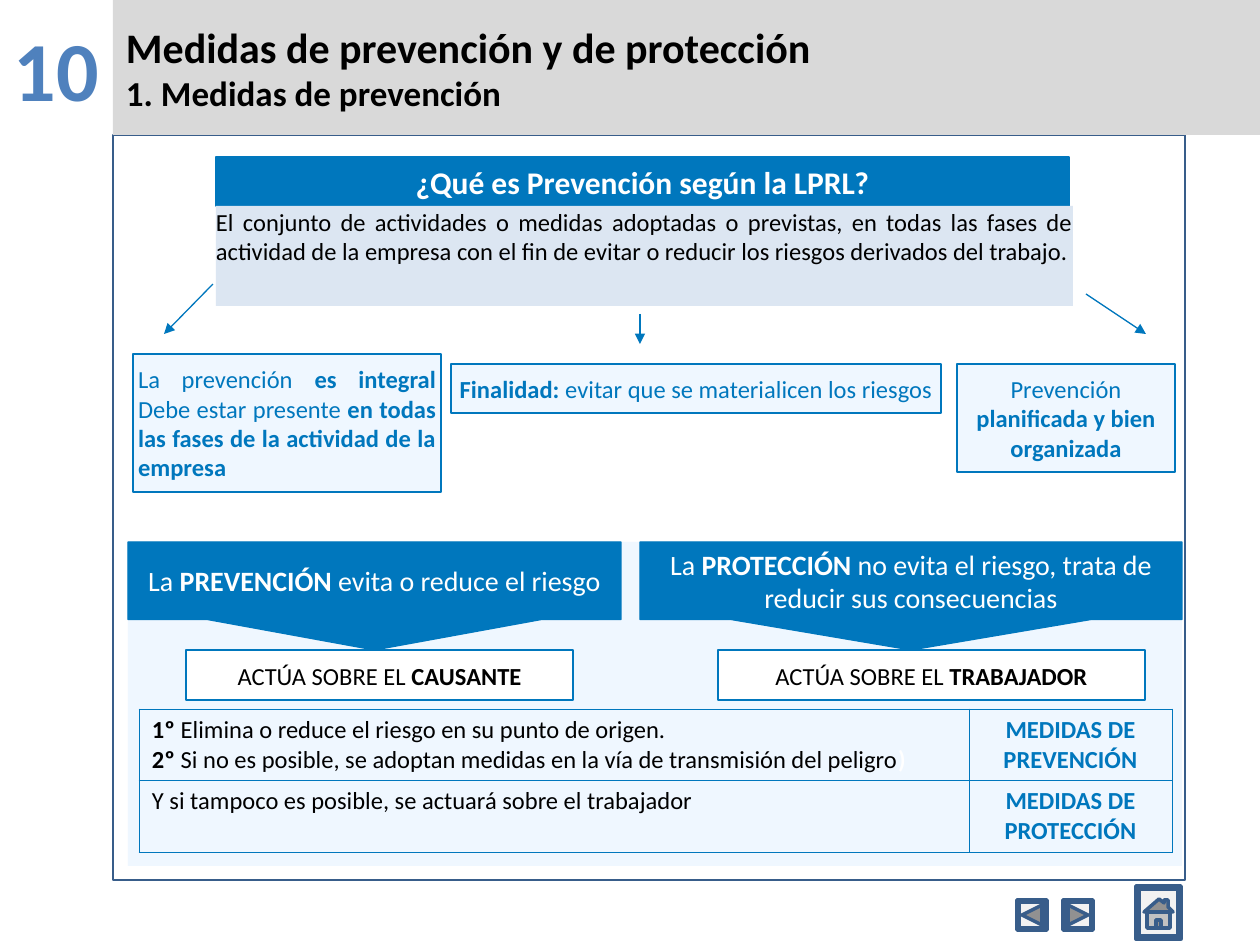
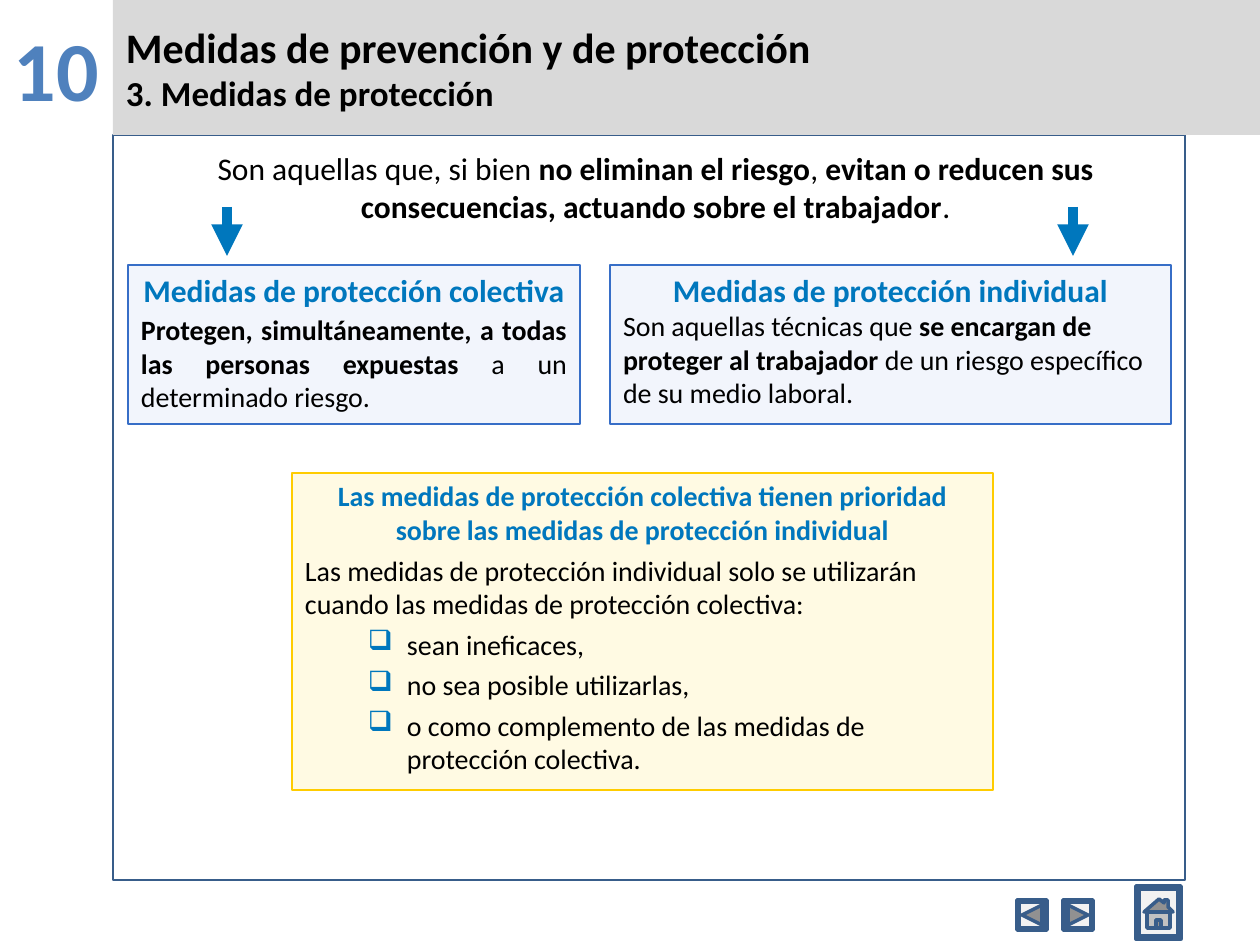
from dataclasses import dataclass

from lxml import etree
from pptx import Presentation
from pptx import util as u
from pptx.dml import color as dml
from pptx.enum import shapes, text
from pptx.oxml import ns

SCALE = 914400 / 126


@dataclass(frozen=True)
class Theme:
    font: str = "Calibri"
    blue: str = "0077BD"
    number: str = "4F81BD"
    frame: str = "385D8A"
    band: str = "D9D9D9"
    pale: str = "EFF7FF"
    definition: str = "DCE6F2"
    panel: str = "F2F5FC"
    panel_line: str = "376EC7"
    note: str = "FFFAE3"
    note_line: str = "FFCC00"
    button: str = "F2F2F2"
    icon: str = "919191"
    wall: str = "C2C2C2"
    black: str = "000000"
    white: str = "FFFFFF"
    chapter: int = 48
    title: int = 24
    subtitle: int = 20
    heading: int = 18
    body: int = 16
    small: int = 14


THEME = Theme()
ALIGN = text.PP_ALIGN
ANCHOR = text.MSO_ANCHOR
PRESET = shapes.MSO_SHAPE


@dataclass(frozen=True)
class Para:
    words: str
    size: int = THEME.small
    color: str = THEME.black
    align: ALIGN = ALIGN.LEFT
    bold: bool = False
    after: float = 0
    bullet: str = ""


def px(value):
    return u.Emu(round(value * SCALE))


def rgb(value):
    return dml.RGBColor.from_string(value)


def add_xml(parent, tag, **attributes):
    return etree.SubElement(parent, ns.qn(tag), attributes)


def within(box, x, y, w, h):
    return box[0] + x, box[1] + y, w, h


def write(frame, paras):
    for index, item in enumerate(paras):
        para = frame.add_paragraph() if index else frame.paragraphs[0]
        if item.bullet:
            properties = para._p.get_or_add_pPr()
            properties.set("marL", str(px(102)))
            properties.set("indent", str(-px(39)))
            add_xml(add_xml(properties, "a:buClr"), "a:srgbClr", val=THEME.blue)
            add_xml(properties, "a:buChar", char=item.bullet)
        para.alignment = item.align
        para.space_after = u.Pt(item.after)
        para.font.name = THEME.font
        para.font.size = u.Pt(item.size)
        para.font.bold = item.bold
        para.font.color.rgb = rgb(item.color)
        for position, part in enumerate(item.words.split("**")):
            if part:
                span = para.add_run()
                span.text = part
                if position % 2:
                    span.font.bold = True


def paint(shape, fill, line, width=0.75):
    shape.shadow.inherit = False
    if fill:
        shape.fill.solid()
        shape.fill.fore_color.rgb = rgb(fill)
    else:
        shape.fill.background()
    if line:
        shape.line.color.rgb = rgb(line)
        shape.line.width = u.Pt(width)
    else:
        shape.line.fill.background()


def add_box(page, box, paras=(), fill=None, line=None, preset=PRESET.RECTANGLE,
            anchor=ANCHOR.MIDDLE, inset=(13, 6), width=0.75):
    shape = page.shapes.add_shape(preset, *map(px, box))
    paint(shape, fill, line, width)
    frame = shape.text_frame
    frame.word_wrap = True
    frame.vertical_anchor = anchor
    frame.margin_left = frame.margin_right = px(inset[0])
    frame.margin_top = frame.margin_bottom = px(inset[1])
    write(frame, paras)
    return shape


def add_outline(page, box, points, fill):
    (x, y), *others = points
    builder = page.shapes.build_freeform(x, y, scale=SCALE)
    builder.add_line_segments(others, close=True)
    shape = builder.convert_to_shape(px(box[0]), px(box[1]))
    paint(shape, fill, THEME.frame, 2)


def add_arrow(page, start, end, width=0.75):
    arrow = page.shapes.add_connector(shapes.MSO_CONNECTOR.STRAIGHT, *map(px, start + end))
    arrow.line.color.rgb = rgb(THEME.blue)
    arrow.line.width = u.Pt(width)
    add_xml(arrow.line._get_or_add_ln(), "a:tailEnd", type="triangle")
    add_xml(arrow._element.spPr, "a:effectLst")


def add_header(page, box, subtitle):
    add_box(page, within(box, 0, 12, 113, 114),
            [Para("10", THEME.chapter, THEME.number, ALIGN.CENTER, True)], anchor=ANCHOR.TOP)
    add_box(page, within(box, 113, 0, box[2] - 113, box[3]), [
        Para("Medidas de prevención y de protección", THEME.title, bold=True),
        Para(subtitle, THEME.subtitle, bold=True),
    ], fill=THEME.band)


def add_button(page, box, icons):
    button = add_box(page, box, fill=THEME.button, line=THEME.frame, preset=PRESET.BEVEL, width=2)
    button.adjustments[0] = 0.07
    for points, fill in icons:
        add_outline(page, box, points, fill)


def add_navigation(page, box):
    back = [(5, 15), (25, 5), (25, 25)]
    forward = [(30 - x, y) for x, y in back]
    roof = [(23, 13), (28, 17), (28, 14), (32, 14), (32, 21), (37, 26), (8, 26)]
    wall = [(11, 26), (34, 26), (34, 42), (11, 42)]
    door = [(20, 34), (25, 34), (25, 42), (20, 42)]
    add_button(page, within(box, 0, 14, 30, 30), [(back, THEME.icon)])
    add_button(page, within(box, 46, 14, 30, 30), [(forward, THEME.icon)])
    add_button(page, within(box, 119, 0, 45, 53),
               [(wall, THEME.wall), (roof, THEME.icon), (door, THEME.icon)])


def add_page(deck, subtitle):
    page = deck.slides.add_slide(deck.slide_layouts[6])
    add_box(page, (113, 135, 1072, 745), line=THEME.frame)
    add_header(page, (0, 0, 1260, 135), subtitle)
    add_navigation(page, (1017, 886, 164, 53))
    return page


def add_definition(page, box):
    add_box(page, within(box, 0, 0, 853, 49),
            [Para("¿Qué es Prevención según la LPRL?", THEME.heading, THEME.white,
                  ALIGN.CENTER, True)], THEME.blue, THEME.blue)
    add_box(page, within(box, 0, 49, box[2], 100),
            [Para("El conjunto de actividades o medidas adoptadas o previstas, en todas las fases "
                  "de actividad de la empresa con el fin de evitar o reducir los riesgos derivados "
                  "del trabajo.", align=ALIGN.JUSTIFY)],
            THEME.definition, anchor=ANCHOR.TOP, inset=(0, 1))


def add_features(page, box):
    features = [
        ((0, 70, 308, 138), ALIGN.JUSTIFY, (80, 0), (31, 50),
         "La prevención **es integral** Debe estar presente"
         "** en todas las fases de la actividad de la empresa**"),
        ((318, 80, 490, 49), ALIGN.CENTER, (507, 30), (507, 60),
         "**Finalidad:** evitar que se materialicen los riesgos"),
        ((824, 80, 218, 108), ALIGN.CENTER, (953, 10), (1013, 50),
         "Prevención** planificada y bien organizada**"),
    ]
    for place, align, start, end, words in features:
        add_arrow(page, within(box, *start, 0, 0)[:2], within(box, *end, 0, 0)[:2])
        add_box(page, within(box, *place), [Para(words, color=THEME.blue, align=align)],
                THEME.pale, THEME.blue, inset=(5, 10))


def add_callouts(page, box):
    callouts = [
        ((0, 0, 493, 108), (1.855, 1.544), "La **PREVENCIÓN** evita o reduce el riesgo",
         (58, 108, 387, 50), "CAUSANTE"),
        ((512, 0, 542, 108), (1.998, 1.664),
         "La **PROTECCIÓN** no evita el riesgo, trata de reducir sus consecuencias",
         (590, 108, 427, 50), "TRABAJADOR"),
    ]
    add_box(page, box, fill=THEME.pale)
    for place, arrow, words, target_place, target in callouts:
        callout = add_box(page, within(box, *place),
                          [Para(words, THEME.body, THEME.white, ALIGN.CENTER)],
                          THEME.blue, THEME.blue, PRESET.DOWN_ARROW_CALLOUT)
        for index, value in enumerate((*arrow, 0.282, 0.718)):
            callout.adjustments[index] = value
        add_box(page, within(box, *target_place),
                [Para(f"ACTÚA SOBRE EL **{target}**", align=ALIGN.CENTER)],
                THEME.white, THEME.blue, anchor=ANCHOR.TOP, inset=(13, 11))


def style_cell(cell):
    properties = cell._tc.get_or_add_tcPr()
    for side in ("a:lnL", "a:lnR", "a:lnT", "a:lnB"):
        border = add_xml(properties, side, w=str(u.Pt(0.45)))
        add_xml(add_xml(border, "a:solidFill"), "a:srgbClr", val=THEME.blue)
    cell.fill.background()
    cell.margin_left = cell.margin_right = px(13)
    cell.margin_top = cell.margin_bottom = px(6)


def add_measures(page, box):
    rows = [
        (["**1º** Elimina o reduce el riesgo en su punto de origen.",
          "**2º** Si no es posible, se adoptan medidas en la vía de transmisión del peligro"],
         "MEDIDAS DE PREVENCIÓN"),
        (["Y si tampoco es posible, se actuará sobre el trabajador"], "MEDIDAS DE PROTECCIÓN"),
    ]
    table = page.shapes.add_table(2, 2, *map(px, box)).table
    table.first_row = table.horz_banding = False
    for column, width in zip(table.columns, (830, box[2] - 830)):
        column.width = px(width)
    for index, (steps, measure) in enumerate(rows):
        table.rows[index].height = px(box[3] // 2)
        contents = ([Para(step) for step in steps],
                    [Para(measure, color=THEME.blue, align=ALIGN.CENTER, bold=True)])
        for column, paras in enumerate(contents):
            cell = table.cell(index, column)
            style_cell(cell)
            write(cell.text_frame, paras)
    bracket = table.cell(0, 0).text_frame.paragraphs[-1].add_run()
    bracket.text = ")"
    bracket.font.bold = True
    bracket.font.color.rgb = rgb(THEME.white)


def add_introduction(page, box):
    add_box(page, box, [
        Para("Son aquellas que, si bien **no eliminan el riesgo**, **evitan o reducen sus "
             "consecuencias, actuando sobre el trabajador**.", THEME.heading, align=ALIGN.CENTER),
    ], inset=(13, 11))
    for x in (90, 936):
        add_arrow(page, within(box, x, 60, 0, 0)[:2], within(box, x, 109, 0, 0)[:2], 6)


def add_protections(page, box):
    panels = [
        (0, 452, "colectiva", 2.2, ALIGN.JUSTIFY,
         "**Protegen, simultáneamente, a todas las personas expuestas **a un determinado riesgo."),
        (482, 561, "individual", 0, ALIGN.LEFT,
         "Son aquellas técnicas que **se encargan de proteger al trabajador** de un riesgo "
         "específico de su medio laboral."),
    ]
    for x, width, kind, after, align, words in panels:
        add_box(page, within(box, x, 0, width, box[3]), [
            Para(f"Medidas de protección {kind}", THEME.heading, THEME.blue,
                 ALIGN.CENTER, True, after),
            Para(words, THEME.body, align=align),
        ], THEME.panel, THEME.panel_line, anchor=ANCHOR.TOP)


def add_priority(page, box):
    cases = ["sean ineficaces,", "no sea posible utilizarlas,",
             "o como complemento de las medidas de protección colectiva."]
    add_box(page, box, [
        Para("Las medidas de protección colectiva tienen prioridad sobre las medidas de "
             "protección individual", THEME.body, THEME.blue, ALIGN.CENTER, True, 4),
        Para("Las medidas de protección individual solo se utilizarán cuando las medidas de "
             "protección colectiva:", THEME.body, after=4),
        *(Para(case, THEME.body, after=4, bullet="❑") for case in cases),
    ], THEME.note, THEME.note_line, PRESET.FLOWCHART_PROCESS, ANCHOR.TOP)


def add_prevention_page(deck):
    page = add_page(deck, "1. Medidas de prevención")
    add_definition(page, (216, 157, 857, 149))
    add_features(page, (133, 284, 1042, 208))
    add_callouts(page, (128, 542, 1054, 324))
    add_measures(page, (139, 709, 1033, 142))


def add_protection_page(deck):
    page = add_page(deck, "3. Medidas de protección")
    add_introduction(page, (137, 147, 1037, 79))
    add_protections(page, (128, 265, 1043, 159))
    add_priority(page, (292, 473, 701, 317))


def main():
    deck = Presentation()
    deck.slide_width, deck.slide_height = px(1260), px(945)
    add_prevention_page(deck)
    add_protection_page(deck)
    deck.save("out.pptx")


if __name__ == "__main__":
    main()
